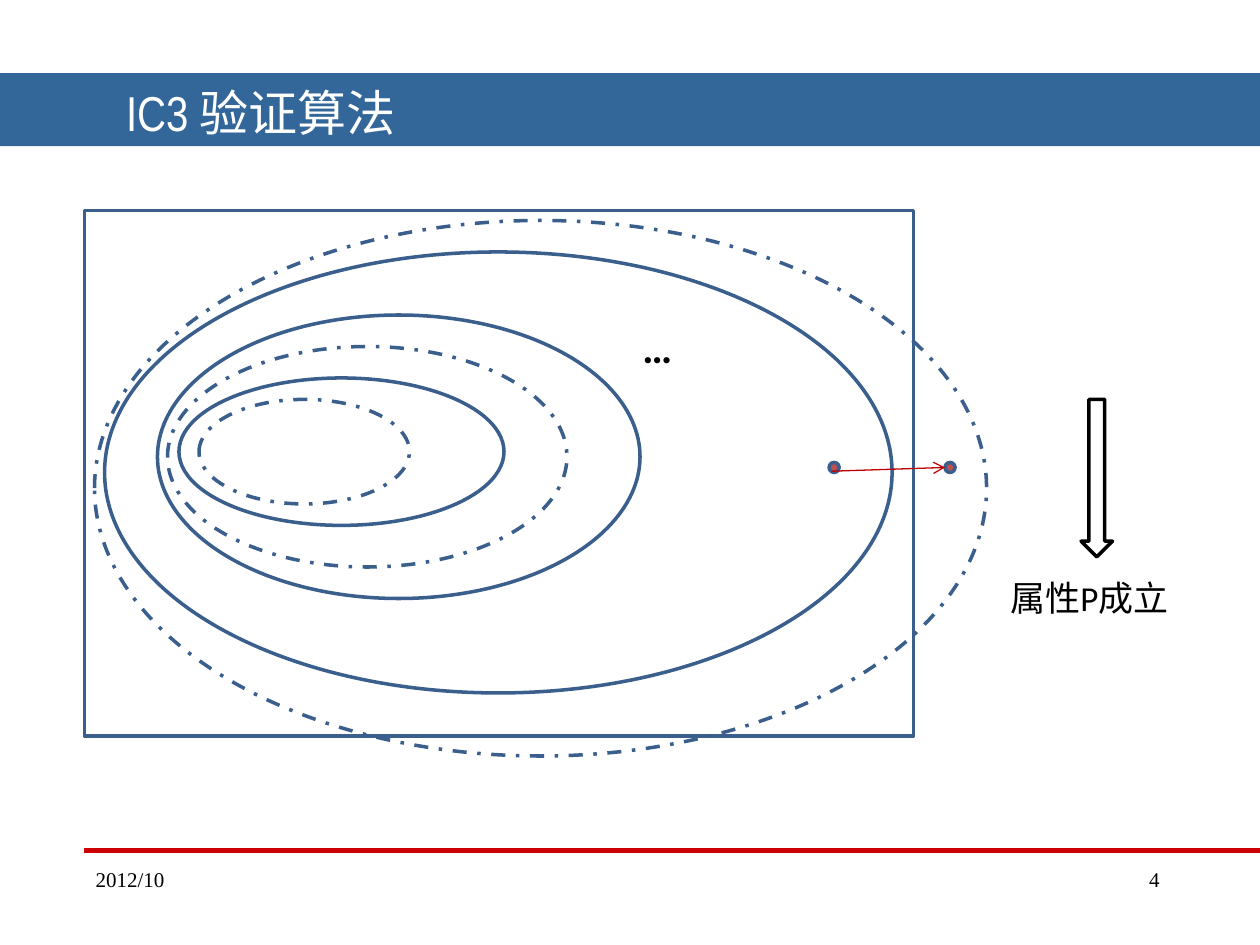
import lxml.etree
import pptx
import pptx.dml.color
import pptx.enum.dml
import pptx.enum.shapes
import pptx.enum.text
import pptx.oxml.ns
import pptx.util

Inches, Pt = pptx.util.Inches, pptx.util.Pt
SHAPE = pptx.enum.shapes.MSO_SHAPE
STRAIGHT = pptx.enum.shapes.MSO_CONNECTOR.STRAIGHT
DASH_DOT = pptx.enum.dml.MSO_LINE.DASH_DOT
OUTLINE = "3A5F8C"

# kind, box, dash
STATE_SETS = [
    (SHAPE.FLOWCHART_CONNECTOR, (1.42, 3, 2.58, 1.17), None),
    (SHAPE.FLOWCHART_CONNECTOR, (1.25, 2.5, 3.83, 2.25), None),
    (SHAPE.FLOWCHART_CONNECTOR, (0.83, 2, 6.25, 3.5), None),
    (SHAPE.FLOWCHART_PROCESS, (0.67, 1.67, 6.58, 4.17), None),
    (SHAPE.OVAL, (1.33, 2.75, 3.17, 1.75), DASH_DOT),
    (SHAPE.OVAL, (0.75, 1.75, 7.08, 4.25), DASH_DOT),
    (SHAPE.OVAL, (1.58, 3.17, 1.67, 0.83), DASH_DOT),
]


def rgb(value):
    return pptx.dml.color.RGBColor.from_string(value)


def inches(box):
    return [Inches(v) for v in box]


def add_shape(s, kind, box, fill=None, line=None, dash=None):
    sp = s.shapes.add_shape(kind, *inches(box))
    sp.shadow.inherit = False
    if fill:
        sp.fill.solid()
        sp.fill.fore_color.rgb = rgb(fill)
    else:
        sp.fill.background()
    if line:
        sp.line.color.rgb = rgb(line)
        sp.line.width = Pt(2)
        if dash:
            sp.line.dash_style = dash
    else:
        sp.line.fill.background()
    return sp


def add_line(s, start, end, color, width, arrow=False):
    line = s.shapes.add_connector(STRAIGHT, *inches(start + end))
    line.line.color.rgb = rgb(color)
    line.line.width = Pt(width)
    qn = pptx.oxml.ns.qn
    if arrow:
        lxml.etree.SubElement(line.line._get_or_add_ln(), qn("a:tailEnd"), type="arrow")
    lxml.etree.SubElement(line._element.spPr, qn("a:effectLst"))
    return line


def set_text(sp, text, size, font, color="000000", bold=False, spacing=None):
    """Fill a text shape; exact line spacing goes with tight, unwrapped text."""
    tf = sp.text_frame
    tf.text = text
    tf.word_wrap = spacing is None
    tf.auto_size = pptx.enum.text.MSO_AUTO_SIZE.NONE
    tf.vertical_anchor = pptx.enum.text.MSO_ANCHOR.TOP
    p = tf.paragraphs[0]
    p.alignment = pptx.enum.text.PP_ALIGN.LEFT
    if spacing:
        tf.margin_left = tf.margin_right = tf.margin_top = 0
        tf.margin_bottom = Inches(0.05)
        p.line_spacing = Pt(spacing)
    r = p.runs[0]
    r.font.size = Pt(size)
    r.font.name = font
    r.font.bold = bold
    r.font.color.rgb = rgb(color)


def add_text(s, box, text, size, font, **style):
    set_text(s.shapes.add_textbox(*inches(box)), text, size, font, **style)


def add_title_band(s, box):
    left, top, width, height = box
    add_shape(s, SHAPE.RECTANGLE, box, fill="336699")
    title = s.shapes.title
    s.shapes._spTree.append(title._element)  # bring in front of the band
    title.left, title.top, title.width, title.height = inches(
        (left + 1, top + 0.07, 3, 0.49))
    set_text(title, "IC3 验证算法", 28, "Arial Narrow", color="FFFFFF", spacing=34)


def add_footer(s, box):
    left, top, width, height = box
    add_line(s, (left, top), (left + width, top), "CC0000", 3)
    for x, w, text in ((0.76, 0.55, "2012/10"), (9.12, 0.08, "4")):
        add_text(s, (x, top + 0.13, w, 0.25), text, 12, "Times New Roman", spacing=14)


def add_state_diagram(s, box):
    left, top, width, height = box
    for kind, (x, y, w, h), dash in STATE_SETS:
        add_shape(s, kind, (left + x - 0.67, top + y - 1.67, w, h),
                  line=OUTLINE, dash=dash)
    add_text(s, (left + 4.33, top + 0.83, 0.75, 0.5), "…", 24, "Calibri", bold=True)
    for x in (6.83, 5.91):
        add_shape(s, SHAPE.OVAL, (left + x, top + 2, 0.08, 0.08),
                  fill="C0504D", line=OUTLINE)
    add_line(s, (left + 5.93, top + 2.07), (left + 6.83, top + 2.04),
             "C00000", 0.75, arrow=True)


def add_conclusion(s, box):
    left, top, width, height = box
    add_shape(s, SHAPE.DOWN_ARROW, (left + 0.66, top, 0.25, 1.25), line="000000")
    add_text(s, (left, top + 1.36, width, 0.44), "属性P成立", 20, "Calibri")


def main():
    prs = pptx.Presentation()
    prs.slide_width, prs.slide_height = Inches(10), Inches(7.5)
    s = prs.slides.add_slide(prs.slide_layouts.get_by_name("Title Only"))
    add_footer(s, (0.67, 6.75, 9.33, 0.5))
    add_title_band(s, (0, 0.58, 10, 0.58))
    add_state_diagram(s, (0.67, 1.67, 7.16, 4.33))
    add_conclusion(s, (7.92, 3.17, 1.92, 1.8))
    prs.save("out.pptx")


if __name__ == "__main__":
    main()
